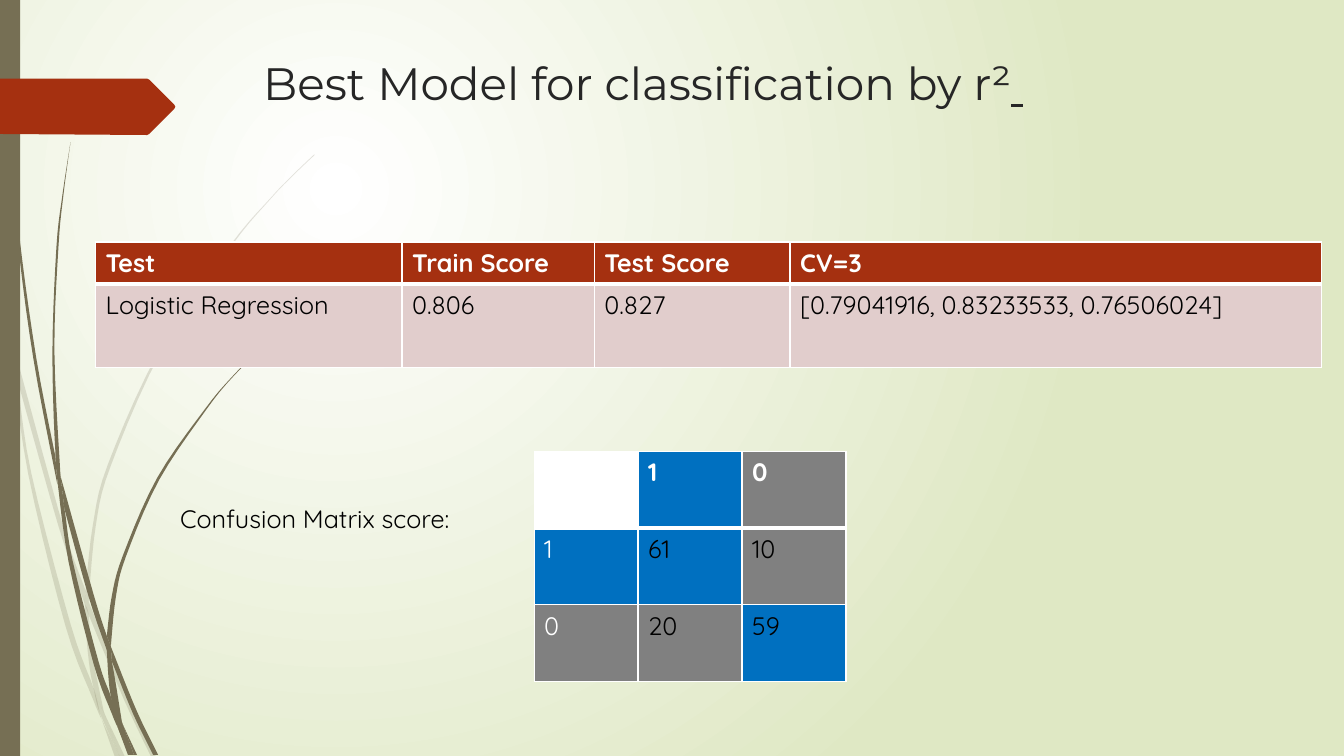
from dataclasses import dataclass

from lxml.etree import SubElement
from pptx import Presentation
from pptx.dml.color import RGBColor as RGB
from pptx.enum.shapes import MSO_SHAPE as Shape
from pptx.enum.text import MSO_ANCHOR as Anchor, PP_ALIGN as Align
from pptx.oxml.ns import qn
from pptx.util import Cm, Pt

# Content
TITLE = "Best Model for classification by r²"
SCORES = [
    ["Test", "Train Score", "Test Score", "CV=3"],
    ["Logistic Regression", "0.806", "0.827", "[0.79041916, 0.83233533, 0.76506024]"],
]
MATRIX_LABEL = "Confusion Matrix score:"
MATRIX = [["", "1", "0"], ["1", "61", "10"], ["0", "20", "59"]]

# Grass blades: each has two edges, smoothed separately, in inches
FAINT_BLADES = [
    ([(.11, 3.5), (.09, 3.22), (0, 2.82)], [(0, 2.99), (.1, 3.44)]),
    ([(.17, 3.76), (.58, 5.22), (.84, 5.99)], [(.85, 5.86), (.62, 5.2), (.14, 3.45)]),
    ([(.88, 6.1), (1.23, 6.94), (1.5, 7.51)],
     [(1.55, 7.51), (1.27, 6.92), (.92, 6.07), (.88, 5.96)]),
    ([(1.05, 7.11), (1.19, 7.51)], [(1.24, 7.51)]),
    ([(.11, 3.5), (.28, 4.7), (.65, 6.21), (.92, 6.93), (1.01, 7.14)],
     [(.99, 7.07), (.93, 6.83), (.7, 6.19), (.31, 4.69), (.17, 3.76), (.11, 3.5)]),
    ([(.84, 5.99), (.87, 6.46), (.93, 6.83), (1.05, 7.11)],
     [(1.03, 7.06), (.91, 6.46), (.88, 6.1), (.84, 5.99)]),
    ([(.88, 5.96), (.95, 5.22), (1.1, 4.62), (1.6, 3.49), (2.29, 2.45), (2.68, 1.98),
      (2.9, 1.75), (3.12, 1.54)],
     [(3.12, 1.53), (2.89, 1.75), (2.68, 1.97), (2.28, 2.44), (1.58, 3.48),
      (1.07, 4.61), (.92, 5.22), (.85, 5.86)]),
    ([(1.01, 7.14), (1.14, 7.51)], [(1.19, 7.51)]),
    ([(.88, 6.1), (.88, 5.96)], [(.85, 5.86), (.84, 5.99)]),
    ([(.93, 6.83), (.99, 7.07), (1.19, 7.51)], [(1.05, 7.11), (.96, 6.92)]),
]
SOLID_BLADES = [
    ([(.03, 0), (.04, .48), (.07, 1.1), (.17, 2.33), (.33, 3.55), (.57, 4.81)],
     [(.55, 4.53), (.36, 3.55), (.19, 2.32), (.08, 1.09), (.05, .48), (.04, 0)]),
    ([(.64, 5.05), (.88, 5.92), (1.06, 6.45)], [(1.06, 6.31), (.93, 5.9), (.6, 4.72)]),
    ([(1.11, 6.56), (1.32, 7.08), (1.52, 7.49)],
     [(1.57, 7.49), (1.36, 7.06), (1.13, 6.49), (1.1, 6.41)]),
    ([(.57, 4.77), (.68, 5.57), (.93, 6.59), (1.11, 7.08), (1.17, 7.22)],
     [(1.16, 7.17), (1.1, 6.91), (.98, 6.57), (.72, 5.56), (.64, 5.05), (.57, 4.77)]),
    ([(.6, 4.72), (.54, 3.49), (.58, 2.45), (.63, 1.93), (.7, 1.41)],
     [(.7, 1.41), (.62, 1.93), (.56, 2.45), (.52, 3.49), (.55, 4.49), (.6, 4.72)]),
    ([(1.22, 7.19), (1.33, 7.49)], [(1.36, 7.49)]),
    ([(.55, 4.49), (.57, 4.77), (.64, 5.05)], [(.6, 4.72)]),
    ([(1.1, 6.41), (1.15, 5.92), (1.25, 5.52), (1.58, 4.76), (2.05, 4.06), (2.31, 3.74),
      (2.61, 3.44)],
     [(2.6, 3.44), (2.31, 3.73), (2.04, 4.05), (1.56, 4.74), (1.22, 5.51),
      (1.11, 5.91), (1.06, 6.31)]),
    ([(1.17, 7.22), (1.27, 7.49)], [(1.31, 7.49)]),
    ([(1.06, 6.45), (1.1, 6.91), (1.22, 7.19)], [(1.21, 7.16), (1.11, 6.56), (1.06, 6.45)]),
    ([(1.06, 6.45), (1.11, 6.56)], [(1.1, 6.41), (1.06, 6.31)]),
    ([(1.1, 6.91), (1.17, 7.22), (1.3, 7.49)], [(1.33, 7.49), (1.22, 7.19), (1.16, 7.06)]),
]
ARROW = [(0, .78), (1.46, .78), (1.48, .79), (1.73, 1.04), (1.74, 1.06), (1.73, 1.08),
         (1.48, 1.33), (1.46, 1.34), (0, 1.33)]


@dataclass(frozen=True)
class Theme:
    olive: RGB = RGB(0x76, 0x6F, 0x54)
    rust: RGB = RGB(0xA5, 0x30, 0x10)
    blush: RGB = RGB(0xE1, 0xCD, 0xCC)
    blue: RGB = RGB(0x00, 0x70, 0xC0)
    grey: RGB = RGB(0x80, 0x80, 0x80)
    white: RGB = RGB(0xFF, 0xFF, 0xFF)
    black: RGB = RGB(0, 0, 0)
    ink: RGB = RGB(0x26, 0x26, 0x26)
    meadow: RGB = RGB(0xDF, 0xE8, 0xC4)
    title_font: str = "Montserrat"
    body_font: str = "Quicksand"
    title_size: Pt = Pt(32.4)
    body_size: Pt = Pt(18)


THEME = Theme()
CM_PER_INCH = 2.54


def set_font(font, name, size, colour, bold=False):
    font.name, font.size, font.bold = name, size, bold
    font.color.rgb = colour


def paint(shape, colour):
    shape.shadow.inherit = False
    shape.fill.solid()
    shape.fill.fore_color.rgb = colour
    shape.line.fill.background()


def smooth(edge, steps=5):
    """Catmull-Rom curve through the points of one edge."""
    padded = [edge[0], *edge, edge[-1]]
    curve = [edge[0]]
    for a, b, c, d in zip(padded, padded[1:], padded[2:], padded[3:]):
        for t in (step / steps for step in range(1, steps + 1)):
            curve.append(tuple(
                (2 * q + (r - p) * t + (2 * p - 5 * q + 4 * r - s) * t ** 2
                 + (3 * q - p - 3 * r + s) * t ** 3) / 2
                for p, q, r, s in zip(a, b, c, d)))
    return curve


def draw_outline(slide, points, colour):
    start, *rest = [(Cm(x * CM_PER_INCH), Cm(y * CM_PER_INCH)) for x, y in points]
    builder = slide.shapes.build_freeform(*start)
    builder.add_line_segments(rest, close=True)
    outline = builder.convert_to_shape()
    paint(outline, colour)
    return outline


def draw_blades(slide, blades, opacity=None):
    for left_edge, right_edge in blades:
        blade = draw_outline(slide, smooth(left_edge) + smooth(right_edge), THEME.olive)
        if opacity:
            colour = next(blade.element.spPr.iter(qn("a:srgbClr")))
            SubElement(colour, qn("a:alpha"), val=str(opacity * 1000))


def add_grid(slide, rows, left, top, widths, heights, style_cell):
    """Table with white rules; style_cell gives the fill and font colour."""
    grid = slide.shapes.add_table(len(rows), len(widths), Cm(left), Cm(top),
                                  Cm(sum(widths)), Cm(sum(heights))).table
    grid.horz_banding = False
    for column, width in zip(grid.columns, widths):
        column.width = Cm(width)
    for r, (row, height) in enumerate(zip(rows, heights)):
        grid.rows[r].height = Cm(height)
        for c, wording in enumerate(row):
            cell = grid.cell(r, c)
            fill, ink = style_cell(r, c)
            cell.text = wording
            set_font(cell.text_frame.paragraphs[0].font, THEME.body_font,
                     THEME.body_size, ink, bold=r == 0)
            borders = cell._tc.get_or_add_tcPr()
            for side in ("L", "R", "T", "B"):
                heavy = (r, side) in ((0, "B"), (1, "T"))
                rule = SubElement(borders, qn(f"a:ln{side}"), w=str(Pt(3 if heavy else 1)))
                SubElement(SubElement(rule, qn("a:solidFill")), qn("a:srgbClr"),
                           val=str(THEME.white))
            cell.fill.solid()
            cell.fill.fore_color.rgb = fill


def score_style(r, c):
    return (THEME.blush, THEME.black) if r else (THEME.rust, THEME.white)


def matrix_style(r, c):
    ink = THEME.black if r and c else THEME.white
    if r == c == 0:
        return THEME.white, ink
    # Headings take the colour of their class; counts are blue on the diagonal
    is_blue = r == c if r and c else r + c == 1
    return (THEME.blue if is_blue else THEME.grey), ink


def main():
    deck = Presentation()
    deck.slide_width, deck.slide_height = Cm(33.87), Cm(19.05)
    slide = deck.slides.add_slide(deck.slide_layouts[5])

    # Radial background
    backdrop = slide.background.fill
    backdrop.gradient()
    for stop, colour, position in zip(backdrop.gradient_stops,
                                      (THEME.white, THEME.meadow), (0, 1)):
        stop.color.rgb, stop.position = colour, position
    gradient = next(slide.element.iter(qn("a:gradFill")))
    gradient.remove(gradient.find(qn("a:lin")))
    circle = SubElement(gradient, qn("a:path"), path="circle")
    SubElement(circle, qn("a:fillToRect"), l="50000", t="50000", r="100000", b="100000")

    # Grass, side bar and arrow
    draw_blades(slide, FAINT_BLADES, opacity=20)
    draw_blades(slide, SOLID_BLADES)
    side_bar = slide.shapes.add_shape(Shape.RECTANGLE, 0, 0, Cm(0.51), deck.slide_height)
    paint(side_bar, THEME.olive)
    draw_outline(slide, ARROW, THEME.rust)

    # Title, ending in an underlined space
    title = slide.shapes.title
    title.left, title.top, title.width, title.height = Cm(6.38), Cm(1.27), Cm(22.94), Cm(2.49)
    title.text_frame.vertical_anchor = Anchor.TOP
    heading = title.text_frame.paragraphs[0]
    heading.alignment = Align.LEFT
    set_font(heading.font, THEME.title_font, THEME.title_size, THEME.ink)
    heading.add_run().text = TITLE
    underscore = heading.add_run()
    underscore.text, underscore.font.underline = " ", True

    # Scores and confusion matrix
    add_grid(slide, SCORES, 2.41, 6.1, [7.72, 4.85, 4.93, 13.4], [1.02, 2.11], score_style)
    label = slide.shapes.add_textbox(Cm(4.29), Cm(12.57), Cm(9.6), Cm(1.02)).text_frame
    label.word_wrap = True
    label.text = MATRIX_LABEL
    set_font(label.paragraphs[0].font, THEME.body_font, THEME.body_size, THEME.black)
    add_grid(slide, MATRIX, 13.46, 11.38, [2.62] * 3, [1.93] * 3, matrix_style)

    deck.save("out.pptx")


if __name__ == "__main__":
    main()
